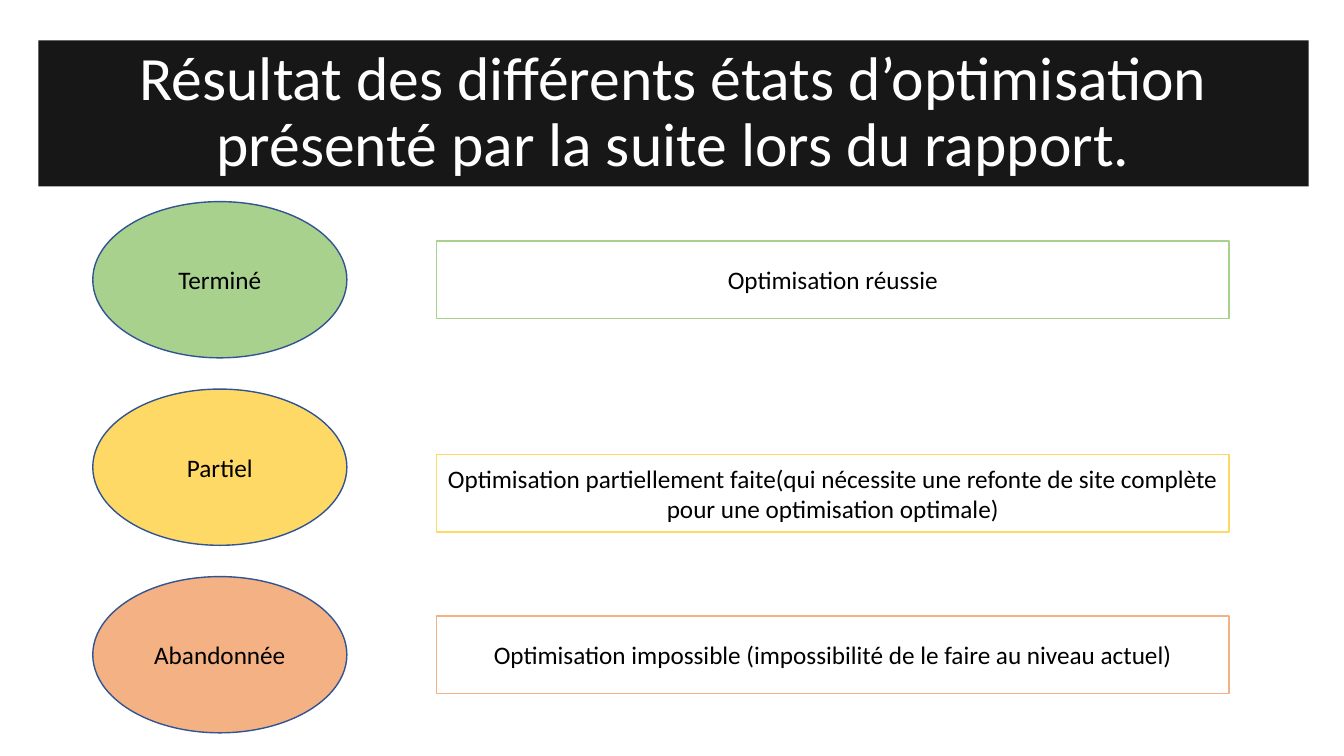
from pptx import Presentation
from pptx.dml.color import RGBColor
from pptx.enum.shapes import MSO_SHAPE as Shape
from pptx.enum.text import MSO_ANCHOR as Anchor, MSO_AUTO_SIZE as AutoSize, PP_ALIGN as Align
from pptx.util import Inches, Pt

BLACK = RGBColor(0x00, 0x00, 0x00)
WHITE = RGBColor(0xFF, 0xFF, 0xFF)
BANNER = RGBColor(0x18, 0x17, 0x17)
OUTLINE = RGBColor(0x32, 0x54, 0x91)
GREEN = RGBColor(0xA9, 0xD1, 0x8E)
YELLOW = RGBColor(0xFF, 0xD9, 0x66)
ORANGE = RGBColor(0xF4, 0xB1, 0x83)

TITLE = "Résultat des différents états d’optimisation présenté par la suite lors du rapport."
# state, meaning, colour, extra drop of the meaning box
STATES = [
    ("Terminé", "Optimisation réussie", GREEN, 0),
    ("Partiel", "Optimisation partiellement faite(qui nécessite une refonte de site "
                "complète pour une optimisation optimale)", YELLOW, 0.26),
    ("Abandonnée", "Optimisation impossible (impossibilité de le faire au niveau actuel)",
     ORANGE, 0),
]
FIRST_TOP, ROW_STEP = 2, 1.86
OVAL_LEFT, OVAL_WIDTH, OVAL_HEIGHT = 0.92, 2.52, 1.55
BOX_LEFT, BOX_WIDTH, BOX_HEIGHT = 4.33, 7.86, 0.77


class SlideBuilder:
    font = "Calibri"

    def __init__(self, page):
        self.page = page

    def set_text(self, shape, text, size, color):
        frame = shape.text_frame
        frame.text = text
        frame.word_wrap = True
        frame.auto_size = AutoSize.NONE
        frame.vertical_anchor = Anchor.MIDDLE
        para = frame.paragraphs[0]
        para.alignment = Align.CENTER
        for span in para.runs:
            span.font.name = self.font
            span.font.size = Pt(size)
            span.font.color.rgb = color
        return para

    def title(self, text, left, top, width, height):
        banner = self.page.shapes.title
        banner.left, banner.top = Inches(left), Inches(top)
        banner.width, banner.height = Inches(width), Inches(height)
        banner.fill.solid()
        banner.fill.fore_color.rgb = BANNER
        self.set_text(banner, text, 44, WHITE).line_spacing = 0.9

    def shape(self, kind, text, left, top, width, height, line, fill=None):
        shape = self.page.shapes.add_shape(
            kind, Inches(left), Inches(top), Inches(width), Inches(height))
        shape.shadow.inherit = False
        if fill is None:
            shape.fill.background()
        else:
            shape.fill.solid()
            shape.fill.fore_color.rgb = fill
        shape.line.color.rgb = line
        shape.line.width = Pt(1)
        self.set_text(shape, text, 18, BLACK)


def main():
    deck = Presentation()
    deck.slide_width, deck.slide_height = Inches(13.33), Inches(7.5)
    title_only = deck.slide_layouts[5]
    builder = SlideBuilder(deck.slides.add_slide(title_only))

    builder.title(TITLE, 0.38, 0.4, 12.6, 1.45)
    for row, (state, meaning, color, drop) in enumerate(STATES):
        top = FIRST_TOP + row * ROW_STEP
        builder.shape(Shape.OVAL, state, OVAL_LEFT, top, OVAL_WIDTH, OVAL_HEIGHT,
                      OUTLINE, fill=color)
        box_top = top + (OVAL_HEIGHT - BOX_HEIGHT) / 2 + drop
        builder.shape(Shape.RECTANGLE, meaning, BOX_LEFT, box_top, BOX_WIDTH, BOX_HEIGHT,
                      color)
    deck.save("out.pptx")


if __name__ == "__main__":
    main()
